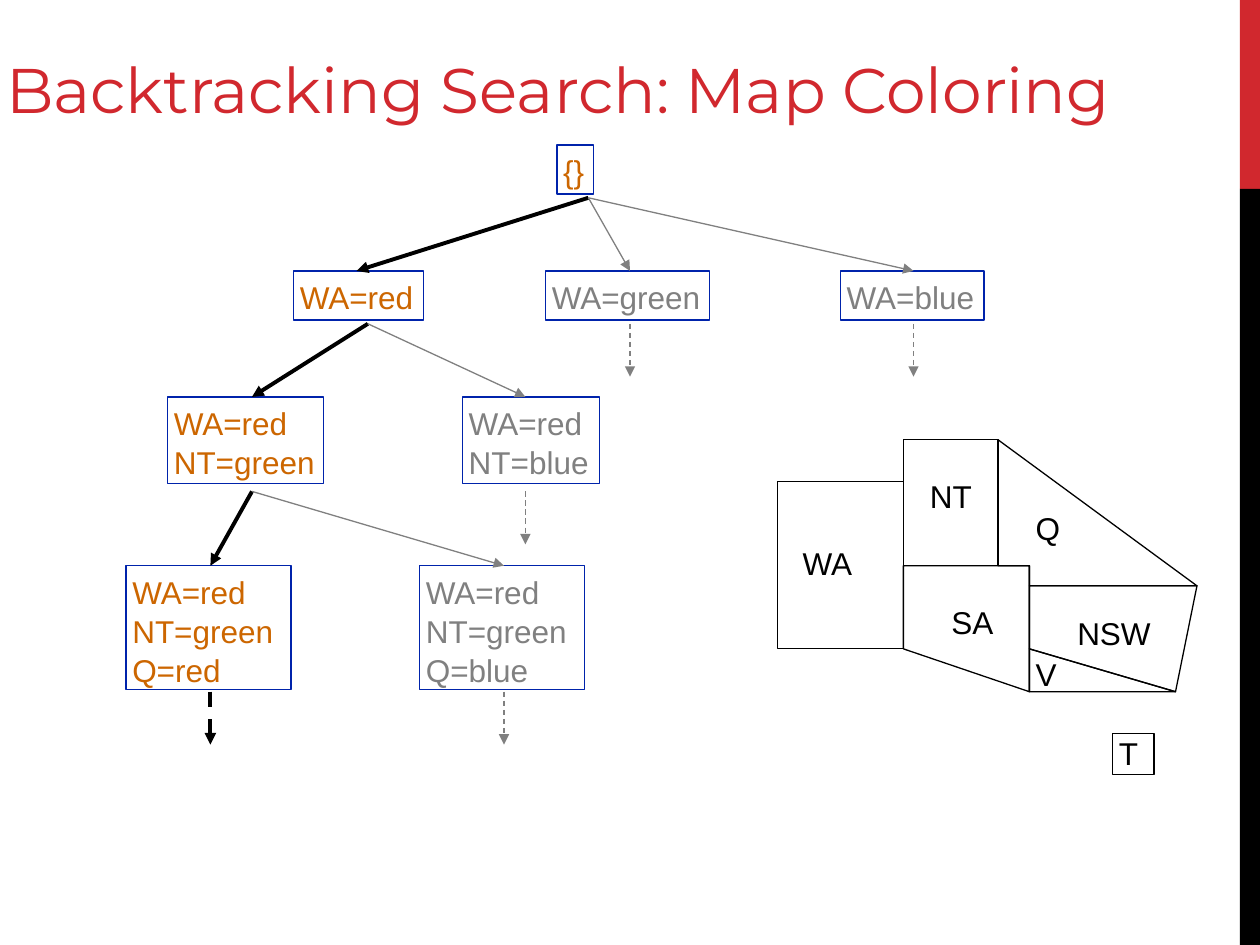
from lxml import etree
from pptx import Presentation
from pptx.dml.color import RGBColor
from pptx.enum.dml import MSO_LINE
from pptx.enum.shapes import MSO_CONNECTOR, MSO_SHAPE
from pptx.enum.text import MSO_ANCHOR, PP_ALIGN
from pptx.oxml.ns import qn
from pptx.util import Inches, Pt

RECTANGLE = MSO_SHAPE.RECTANGLE
STRAIGHT = MSO_CONNECTOR.STRAIGHT
DASH = MSO_LINE.DASH
TOP, BOTTOM = MSO_ANCHOR.TOP, MSO_ANCHOR.BOTTOM
LEFT = PP_ALIGN.LEFT

RED, BLACK, WHITE = "D1282E", "000000", "FFFFFF"
NAVY, ORANGE, GRAY = "0023AB", "CC6600", "808080"


def color(hex_string):
    return RGBColor.from_string(hex_string)


def write(shape, text, size, font, hex_color, anchor=TOP, wrap=False, spacing=1.0):
    frame = shape.text_frame
    frame.text = text
    frame.word_wrap = wrap
    frame.vertical_anchor = anchor
    frame.margin_left = frame.margin_right = Inches(0.05)
    frame.margin_top = frame.margin_bottom = Inches(0.05)
    for paragraph in frame.paragraphs:
        paragraph.alignment = LEFT
        paragraph.line_spacing = spacing
        for run in paragraph.runs:
            run.font.size = Pt(size)
            run.font.name = font
            run.font.color.rgb = color(hex_color)


def paint(shape, fill=None, line=None):
    shape.shadow.inherit = False
    if fill:
        shape.fill.solid()
        shape.fill.fore_color.rgb = color(fill)
    else:
        shape.fill.background()
    if line:
        shape.line.color.rgb = color(line)
        shape.line.width = Pt(0.75)
    else:
        shape.line.fill.background()


def add_box(shapes, left, top, width, height, fill=None, line=None):
    box = shapes.add_shape(RECTANGLE, Inches(left), Inches(top),
                           Inches(width), Inches(height))
    paint(box, fill, line)
    return box


def add_arrow(shapes, start, end, on_path=False, dashed=False):
    arrow = shapes.add_connector(STRAIGHT, *(Inches(v) for v in (*start, *end)))
    arrow.line.color.rgb = color(BLACK if on_path else GRAY)
    arrow.line.width = Pt(2.25 if on_path else 0.75)
    if dashed:
        arrow.line.dash_style = DASH
    etree.SubElement(arrow.line._get_or_add_ln(), qn("a:tailEnd"), type="triangle")
    etree.SubElement(arrow._element.spPr, qn("a:effectLst"))


def add_side_bar(slide, left, width, split, bottom):
    add_box(slide.shapes, left, 0, width, split, fill=RED)
    add_box(slide.shapes, left, split, width, bottom - split, fill=BLACK)


def add_title(slide, left, top, width, height):
    title = slide.shapes.title
    title.left, title.top = Inches(left), Inches(top)
    title.width, title.height = Inches(width), Inches(height)
    write(title, "Backtracking Search: Map Coloring", 36, "Montserrat", RED,
          anchor=BOTTOM, wrap=True)


def add_search_tree(slide, left, top):
    # Levels: box top, box height, and where arrows leave below it
    levels = [(0, 0.39, 0.42), (1, 0.39, 1.42), (2, 0.69, 2.75), (3.34, 0.98, 4.34)]
    # Nodes: assignment, level, box left, box width, arrow in, arrow out, parent, on path
    nodes = {
        "root": ("{}", 0, 3.42, 0.29, None, 3.67, None, True),
        "red": ("WA=red", 1, 1.33, 1.03, 1.83, 1.92, "root", True),
        "green": ("WA=green", 1, 3.33, 1.3, 4, 4, "root", False),
        "blue": ("WA=blue", 1, 5.67, 1.14, 6.25, 6.25, "root", False),
        "red-green": ("WA=red\nNT=green", 2, 0.33, 1.24, 1, 1, "red", True),
        "red-blue": ("WA=red\nNT=blue", 2, 2.67, 1.09, 3.17, 3.17, "red", False),
        "red-green-red": ("WA=red\nNT=green\nQ=red", 3, 0, 1.31,
                          0.67, 0.67, "red-green", True),
        "red-green-blue": ("WA=red\nNT=green\nQ=blue", 3, 2.33, 1.31,
                           3, 3, "red-green", False),
    }
    parents = {node[6] for node in nodes.values()}

    # Assignment boxes
    boxes = slide.shapes.add_group_shape().shapes
    for text, level, x, width, _, _, _, on_path in nodes.values():
        y, height, _ = levels[level]
        box = add_box(boxes, left + x, top + y, width, height, WHITE, NAVY)
        write(box, text, 18, "Arial", ORANGE if on_path else GRAY, spacing=1.03)

    # Arrows from parents, and dashed arrows below the leaves
    for name, (_, level, _, _, x_in, x_out, parent, on_path) in nodes.items():
        y_in, _, y_out = levels[level]
        if parent:
            parent_level, parent_x = nodes[parent][1], nodes[parent][5]
            add_arrow(slide.shapes,
                      (left + parent_x, top + levels[parent_level][2]),
                      (left + x_in, top + y_in), on_path)
        if name not in parents:
            start = (left + x_out, top + y_out)
            add_arrow(slide.shapes, start, (start[0], start[1] + 0.42),
                      on_path, dashed=True)


def add_map(slide, left, top):
    # Regions: outline corners, then top left of the label and its width
    rectangles = [(0, 0.33, 1, 1.33), (1, 0, 0.75, 1), (2.66, 2.33, 0.33, 0.33)]
    outlines = [
        [(1, 1), (2, 1), (2, 2), (1, 1.66)],
        [(1.75, 0), (3.33, 1.16), (2, 1.16), (2, 1), (1.75, 1)],
        [(2, 1.16), (2, 1.66), (3.16, 2), (3.33, 1.16)],
        [(2, 1.66), (2, 2), (3.16, 2)],
    ]
    labels = [("WA", 0.15, 0.78, 0.51), ("NT", 1.16, 0.25, 0.45),
              ("SA", 1.33, 1.25, 0.45), ("Q", 2, 0.5, 0.31),
              ("NSW", 2.33, 1.33, 0.7), ("V", 2, 1.66, 0.28),
              ("T", 2.66, 2.29, 0.27)]
    shapes = slide.shapes.add_group_shape().shapes

    # Region outlines
    for x, y, width, height in rectangles:
        add_box(shapes, left + x, top + y, width, height, line=BLACK)
    for corners in outlines:
        points = [(Inches(left + x), Inches(top + y)) for x, y in corners]
        builder = shapes.build_freeform(*points[0])
        builder.add_line_segments(points[1:], close=True)
        paint(builder.convert_to_shape(), line=BLACK)

    # Region names
    for name, x, y, width in labels:
        label = shapes.add_textbox(Inches(left + x), Inches(top + y),
                                   Inches(width), Inches(0.38))
        write(label, name, 18, "Arial", BLACK)


def main():
    presentation = Presentation()
    presentation.slide_width, presentation.slide_height = Inches(10), Inches(7.5)
    slide = presentation.slides.add_slide(presentation.slide_layouts[5])
    add_side_bar(slide, left=9.84, width=0.16, split=1.5, bottom=7.5)
    add_title(slide, left=0, top=-0.2, width=9.8, height=1.25)
    add_search_tree(slide, left=1, top=1.15)
    add_map(slide, left=6.17, top=3.49)
    presentation.save("out.pptx")


if __name__ == "__main__":
    main()
